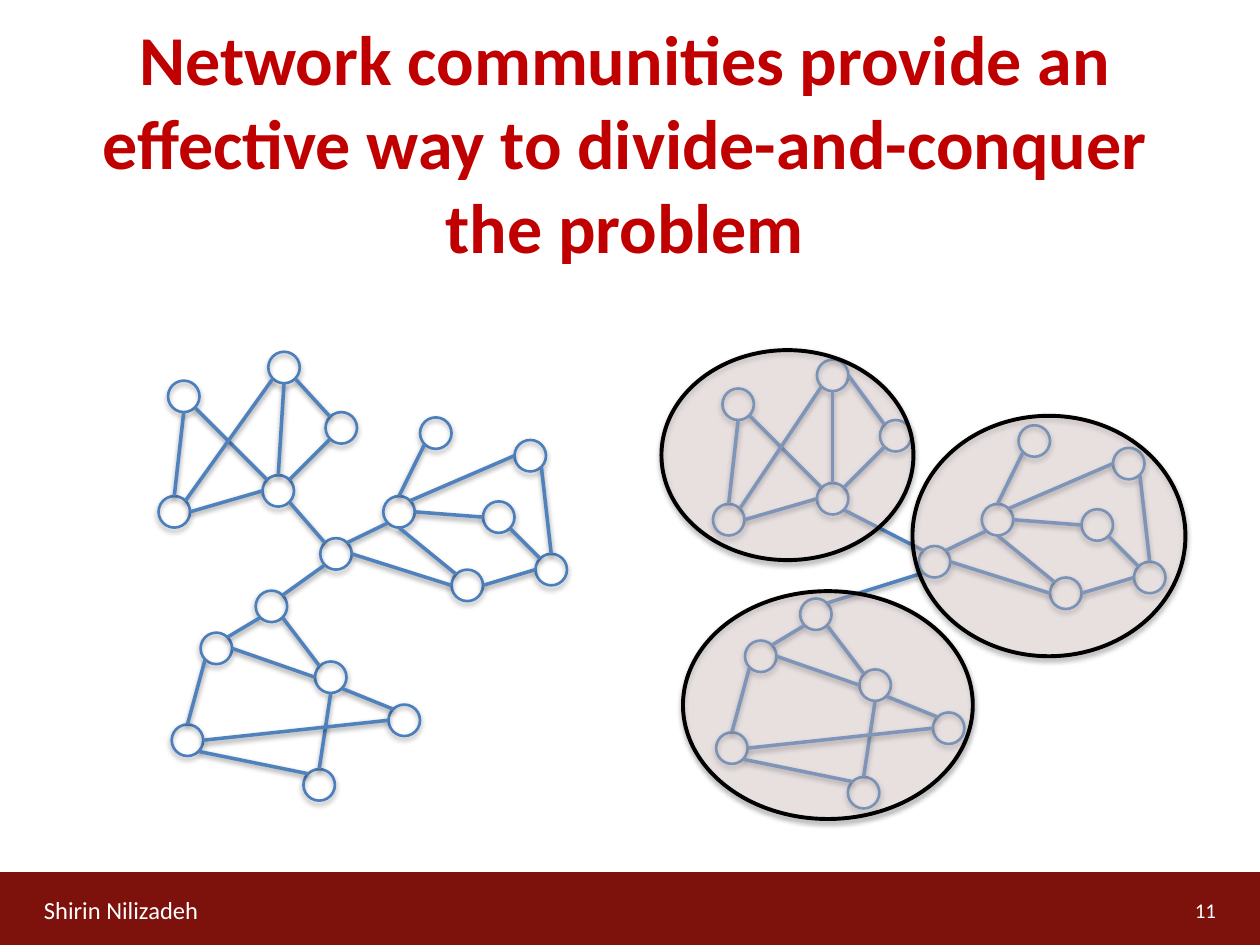
from math import cos, radians, sin

from lxml.etree import SubElement
from pptx import Presentation
from pptx.dml.color import RGBColor
from pptx.enum.shapes import MSO_CONNECTOR as Connector, MSO_SHAPE as Shape
from pptx.enum.text import MSO_ANCHOR as Anchor, PP_ALIGN as Align
from pptx.oxml.ns import qn
from pptx.util import Inches, Pt

CELL = Inches(1) / 24
COLUMNS, ROWS = 240, 180
NODE = 6
COLORS = {
    "title": "C00000", "footer": "7D110C", "white": "FFFFFF", "node": "4B7EBC",
    "edge": "4F81BD", "ring": "000000", "community": "F2DCDB", "shadow": "000000",
}
ANGLES = {side: 45 * step for step, side in enumerate("e se s sw w nw n ne".split())}
NODES = {
    "A1": (20, 23.5), "A2": (32, 11.5), "A3": (0.2, 27.5), "A4": (2, 5.5),
    "A5": (21.1, 0),
    "B1": (43, 27.5), "B2": (50, 12.5), "B3": (68, 16.8), "B4": (62, 28.5),
    "B5": (72, 38.5), "B6": (56, 41.5), "B7": (31, 35.5),
    "C1": (18.7, 45.5), "C2": (8.2, 53.5), "C3": (30, 59), "C4": (44, 67.2),
    "C5": (2.7, 71), "C6": (27.8, 79.5),
}
EDGES = [edge.split() for edge in (
    "A1 se B7 nw", "B7 ne B1 sw", "C1 ne B7 sw", "A2 sw A1 ne", "A3 e A1 w",
    "A4 se A1 nw", "A5 s A1 n", "A5 sw A3 ne", "A5 se A2 nw", "A4 s A3 n",
    "C2 ne C1 sw", "C1 se C3 nw", "C5 n C2 sw", "C5 se C6 nw", "C2 e C3 w",
    "C3 se C4 nw", "C3 s C6 n", "C5 e C4 w", "B1 n B2 sw", "B1 e B4 w",
    "B7 e B6 w", "B3 w B1 ne", "B1 s B6 nw", "B5 w B6 e", "B4 se B5 nw",
    "B3 se B5 n",
)]
SPREAD = {"A": 1.9, "B": 10.3, "C": 0}
RINGS = [(-3.6, 44.1, 55.2, 43.4), (40.1, 10.7, 52, 45.8), (-7.7, -1.8, 48, 40)]


def cells(*values):
    """Convert grid cells to slide lengths."""
    return [round(value * CELL) for value in values]


def color(name):
    """Return a named colour of the palette."""
    return RGBColor.from_string(COLORS[name])


def add_shadow(shape, opacity, distance):
    """Drop a soft shadow straight below a shape or connector."""
    effects = SubElement(shape._element.spPr, qn("a:effectLst"))
    shadow = SubElement(effects, qn("a:outerShdw"), blurRad=str(Pt(3.1)),
                        dist=str(Pt(distance)), dir="5400000", rotWithShape="0")
    tint = SubElement(shadow, qn("a:srgbClr"), val=COLORS["shadow"])
    SubElement(tint, qn("a:alpha"), val=str(opacity * 1000))


def add_text(slide, box, text, size, tone, align=Align.LEFT, bold=False):
    """Write one paragraph centred vertically in a box."""
    frame = slide.shapes.add_textbox(*cells(*box)).text_frame
    frame.word_wrap = True
    frame.vertical_anchor = Anchor.MIDDLE
    paragraph = frame.paragraphs[0]
    paragraph.text = text
    paragraph.alignment = align
    font = paragraph.font
    font.name, font.size, font.bold = "Calibri", Pt(size), bold
    font.color.rgb = color(tone)


def add_oval(slide, box, tone, width, opacity=0):
    """Outline an oval, with a translucent fill when opacity is given."""
    oval = slide.shapes.add_shape(Shape.OVAL, *cells(*box))
    if opacity:
        oval.fill.solid()
        oval.fill.fore_color.rgb = color("community")
        tint = oval.fill._xPr.find(qn("a:solidFill"))[0]
        SubElement(tint, qn("a:alpha"), val=str(opacity * 1000))
    else:
        oval.fill.background()
    oval.line.color.rgb = color(tone)
    oval.line.width = Pt(width)
    add_shadow(oval, 35, 1.8)


def rim_point(corner, side):
    """Find the point on a node's rim that faces a compass side."""
    angle, radius = radians(ANGLES[side]), NODE / 2
    return (corner[0] + radius * (1 + cos(angle)),
            corner[1] + radius * (1 + sin(angle)))


def add_network(slide, left, top, nodes, edges):
    """Draw the nodes and edges from the top left corner of a box."""
    corners = {name: (left + x, top + y) for name, (x, y) in nodes.items()}
    for corner in corners.values():
        add_oval(slide, (*corner, NODE, NODE), "node", 1.5)
    for start, start_side, end, end_side in edges:
        ends = (*rim_point(corners[start], start_side),
                *rim_point(corners[end], end_side))
        edge = slide.shapes.add_connector(Connector.STRAIGHT, *cells(*ends))
        edge.line.color.rgb = color("edge")
        edge.line.width = Pt(2)
        add_shadow(edge, 38, 1.6)


def add_communities(slide, left, top):
    """Draw the network pulled apart, with a ring round each community."""
    nodes = {name: (x + SPREAD[name[0]], y) for name, (x, y) in NODES.items()}
    nodes["A5"] = (nodes["A1"][0], 0)
    edges = [["A5", "e", "A2", "nw"] if edge[::2] == ["A5", "A2"] else edge
             for edge in EDGES]
    add_network(slide, left, top, nodes, edges)
    for x, y, width, height in RINGS:
        add_oval(slide, (left + x, top + y, width, height), "ring", 2.25, 33)


def add_footer(slide, top, height):
    """Draw the footer band with the author and the slide number."""
    band = slide.shapes.add_shape(Shape.RECTANGLE, *cells(0, top, COLUMNS, height))
    band.shadow.inherit = False
    band.fill.solid()
    band.fill.fore_color.rgb = color("footer")
    band.line.fill.background()
    row = top + 2.4
    add_text(slide, (6, row, 42, 9.6), "Shirin Nilizadeh", 14, "white")
    add_text(slide, (178, row, 56, 9.6), "11", 12, "white", Align.RIGHT)


def main():
    """Build and save the slide."""
    presentation = Presentation()
    presentation.slide_width, presentation.slide_height = cells(COLUMNS, ROWS)
    slide = presentation.slides.add_slide(presentation.slide_layouts[6])
    add_footer(slide, 166.1, 13.9)
    add_text(slide, (10, 4, 218, 46),
             "Network communities provide an effective way to "
             "divide-and-conquer the problem", 40, "title", Align.CENTER, True)
    add_network(slide, 30, 67, NODES, EDGES)
    add_communities(slide, 133.7, 68.5)
    presentation.save("out.pptx")


if __name__ == "__main__":
    main()
